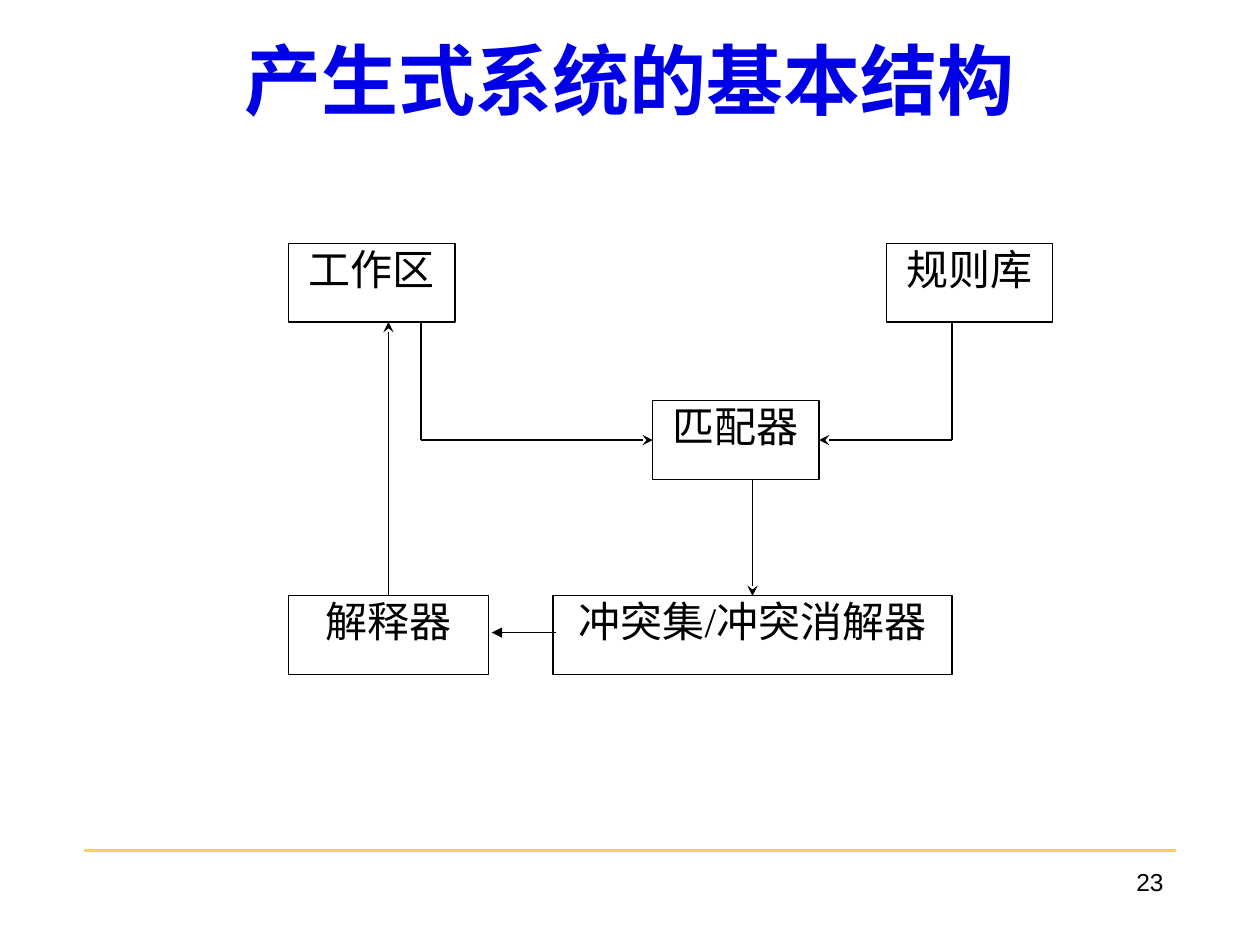
"""Build the slide on the basic structure of a production system."""
import pptx
import pptx.dml.color
import pptx.enum.shapes
import pptx.enum.text
import pptx.oxml.ns
import pptx.util
import lxml.etree

Pt = pptx.util.Pt
ALIGN = pptx.enum.text.PP_ALIGN
ANCHOR = pptx.enum.text.MSO_ANCHOR
qn = pptx.oxml.ns.qn


def colour(value):
    return pptx.dml.color.RGBColor.from_string(value)


def write(frame, text, size, font, align, ink="000000", bold=False, anchor=ANCHOR.TOP, top=3.6, wrap=True):
    frame.word_wrap = wrap
    frame.vertical_anchor = anchor
    frame.margin_left = frame.margin_right = Pt(7.2)
    frame.margin_top, frame.margin_bottom = Pt(top), Pt(3.6)
    paragraph = frame.paragraphs[0]
    paragraph.alignment = align
    run = paragraph.add_run()
    run.text = text
    run.font.size, run.font.bold = Pt(size), bold
    run.font.color.rgb = colour(ink)
    run.font.name = font
    east_asian = lxml.etree.SubElement(run.font._element, qn("a:ea"))
    east_asian.set("typeface", "Noto Sans CJK SC")


deck = pptx.Presentation()
deck.slide_width, deck.slide_height = Pt(720), Pt(540)
slide = deck.slides.add_slide(deck.slide_layouts[5])

heading = slide.shapes.title
heading.left, heading.top, heading.width, heading.height = Pt(54), Pt(0), Pt(612), Pt(90)
write(heading.text_frame, "产生式系统的基本结构", 44, "Noto Sans CJK SC", ALIGN.CENTER,
      ink="0000E7", bold=True, anchor=ANCHOR.MIDDLE)

box_height = 45
top_row, middle_row, bottom_row = 139, 229, 340.5
modules_at = {
    "解释器": (165, bottom_row, 114),
    "冲突集/冲突消解器": (316, bottom_row, 228),
    "工作区": (165, top_row, 95),
    "规则库": (506.5, top_row, 95),
    "匹配器": (373, middle_row, 95),
}
components = {}
for label, (left, top, width) in modules_at.items():
    component = slide.shapes.add_shape(
        pptx.enum.shapes.MSO_SHAPE.RECTANGLE, Pt(left), Pt(top), Pt(width), Pt(box_height))
    component.shadow.inherit = False
    component.fill.solid()
    component.fill.fore_color.rgb = colour("FFFFFF")
    component.line.color.rgb = colour("000000")
    component.line.width = Pt(0.75)
    write(component.text_frame, label, 24, "Times New Roman", ALIGN.CENTER, top=0)
    components[label] = component

top_edge = top_row + box_height
match_level = middle_row + box_height / 2
flows = [
    ((222, bottom_row), (222, top_edge), "000000", 0.75, "stealth", ("解释器", 0), None),
    ((240.5, top_edge), (240.5, match_level), "000000", 0.75, None, None, None),
    ((240.5, match_level), (373, match_level), "000000", 0.75, "stealth", None, ("匹配器", 1)),
    ((544, top_edge), (544, match_level), "000000", 0.75, None, None, None),
    ((544, match_level), (468, match_level), "000000", 0.75, "stealth", None, ("匹配器", 3)),
    ((430, middle_row + box_height), (430, bottom_row), "000000", 0.75, "stealth",
     None, ("冲突集/冲突消解器", 0)),
    ((317.5, 361.5), (281, 361.5), "000000", 1, "triangle", None, None),
    ((48, 486), (672, 486), "FFCC66", 1.5, None, None, None),
]
for start, end, ink, weight, arrowhead, source, target in flows:
    flow = slide.shapes.add_connector(
        pptx.enum.shapes.MSO_CONNECTOR.STRAIGHT, *map(Pt, start + end))
    if source:
        flow.begin_connect(components[source[0]], source[1])
    if target:
        flow.end_connect(components[target[0]], target[1])
    flow.line.color.rgb = colour(ink)
    flow.line.width = Pt(weight)
    if arrowhead:
        lxml.etree.SubElement(flow.line._get_or_add_ln(), qn("a:tailEnd")).set("type", arrowhead)
    lxml.etree.SubElement(flow._element.spPr, qn("a:effectLst"))

page_number = slide.shapes.add_textbox(Pt(522), Pt(492), Pt(150), Pt(36))
write(page_number.text_frame, "23", 14, "Arial", ALIGN.RIGHT)

deck.save("out.pptx")
